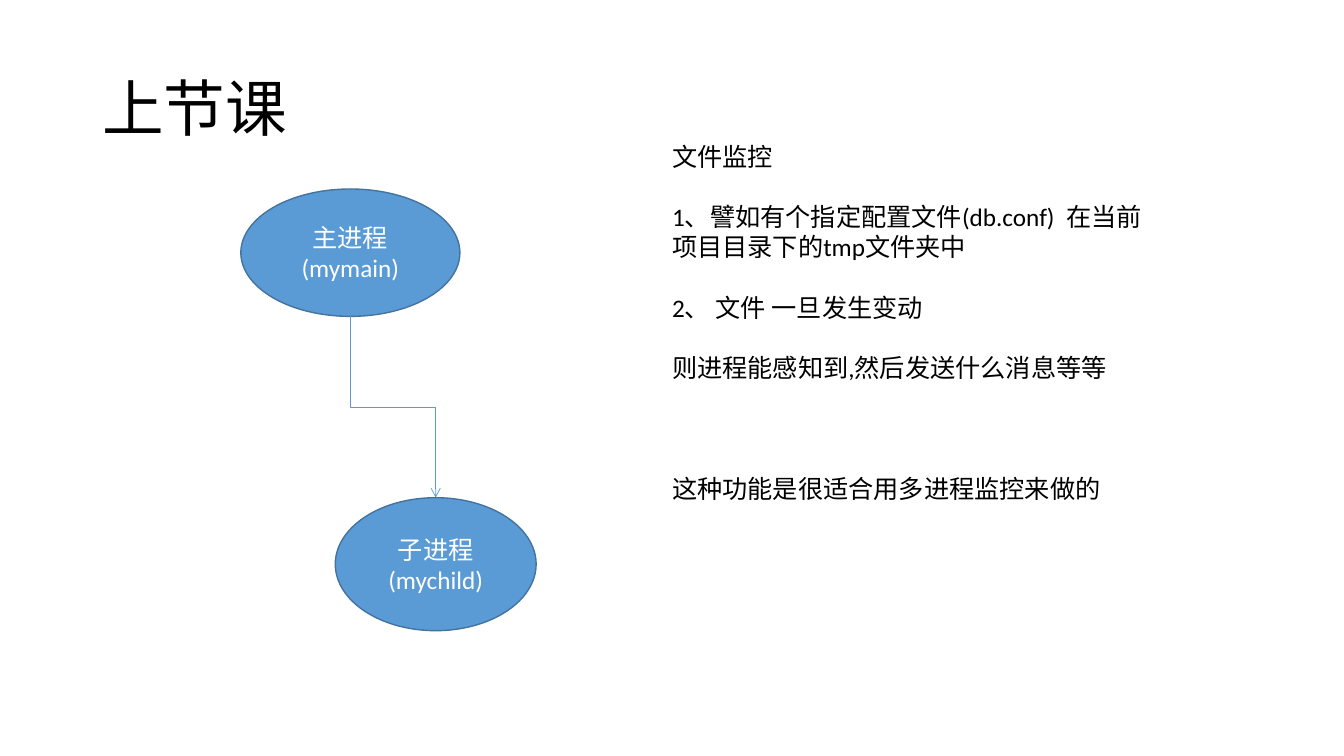
import pptx
import pptx.util
import pptx.dml.color
import pptx.enum.shapes
import pptx.enum.text
import pptx.oxml.ns
import lxml.etree

Pt = pptx.util.Pt
ALIGN = pptx.enum.text.PP_ALIGN
ANCHOR = pptx.enum.text.MSO_ANCHOR
SHAPES = pptx.enum.shapes.MSO_SHAPE
ELBOW = pptx.enum.shapes.MSO_CONNECTOR.ELBOW
qn = pptx.oxml.ns.qn

BLUE, EDGE, BLACK, WHITE = "5B9BD5", "43739E", "000000", "FFFFFF"
LINE = 21.6  # height of one line of body text

# Each note with the number of lines left free above it
NOTES = [
    ("文件监控", 0),
    ("1、譬如有个指定配置文件(db.conf)  在当前项目目录下的tmp文件夹中", 1),
    ("2、 文件 一旦发生变动", 1),
    ("则进程能感知到,然后发送什么消息等等", 1),
    ("这种功能是很适合用多进程监控来做的", 3),
]


def color(value):
    return pptx.dml.color.RGBColor.from_string(value)


def write(para, text, size=18, fill=BLACK, align=ALIGN.LEFT, before=0, spacing=1.0):
    para.alignment = align
    para.space_before = Pt(before)
    para.line_spacing = spacing
    span = para.add_run()
    span.text = text
    span.font.name = "Calibri"
    span.font.size = Pt(size)
    span.font.color.rgb = color(fill)


def write_lines(frame, lines, **style):
    for index, (text, gap) in enumerate(lines):
        para = frame.add_paragraph() if index else frame.paragraphs[0]
        write(para, text, before=gap * LINE, **style)


def add_text(page, left, top, width, height, lines, anchor=ANCHOR.TOP, **style):
    box = page.shapes.add_textbox(Pt(left), Pt(top), Pt(width), Pt(height))
    box.text_frame.word_wrap = True
    box.text_frame.vertical_anchor = anchor
    write_lines(box.text_frame, lines, **style)


def add_process(page, left, top, width, height, title, name):
    oval = page.shapes.add_shape(SHAPES.OVAL, Pt(left), Pt(top), Pt(width), Pt(height))
    oval.shadow.inherit = False
    oval.fill.solid()
    oval.fill.fore_color.rgb = color(BLUE)
    oval.line.color.rgb = color(EDGE)
    oval.line.width = Pt(1)
    oval.text_frame.word_wrap = True
    oval.text_frame.vertical_anchor = ANCHOR.MIDDLE
    write_lines(oval.text_frame, [(title, 0), (name, 0)], fill=WHITE, align=ALIGN.CENTER)


def add_down_arrow(page, x1, y1, x2, y2):
    """Elbow that leaves downwards: laid out sideways, then turned by 270 degrees."""
    mid_x, mid_y = (x1 + x2) / 2, (y1 + y2) / 2
    half_run, half_rise = (y2 - y1) / 2, (x2 - x1) / 2
    arrow = page.shapes.add_connector(
        ELBOW, Pt(mid_x + half_run), Pt(mid_y - half_rise),
        Pt(mid_x - half_run), Pt(mid_y + half_rise))
    arrow.line.color.rgb = color(BLUE)
    arrow.line.width = Pt(0.5)
    properties = arrow._element.spPr
    properties.find(qn("a:xfrm")).set("rot", str(270 * 60000))
    lxml.etree.SubElement(properties.find(qn("a:ln")), qn("a:tailEnd"), type="arrow")
    lxml.etree.SubElement(properties, qn("a:effectLst"))


def add_process_diagram(page, left, top):
    main_width, main_height = 156.5, 91
    child_left, child_top, child_width = left + 67.5, top + 220.5, 143.5
    add_process(page, left, top, main_width, main_height, "主进程", "(mymain)")
    add_down_arrow(page, left + main_width / 2, top + main_height,
                   child_left + child_width / 2, child_top)
    add_process(page, child_left, child_top, child_width, 95, "子进程", "(mychild)")


def main():
    deck = pptx.Presentation()
    deck.slide_width, deck.slide_height = Pt(960), Pt(540)
    page = deck.slides.add_slide(deck.slide_layouts[6])
    # Title
    add_text(page, 66, 27.5, 828, 104.5, [("上节课", 0)], anchor=ANCHOR.MIDDLE,
             size=44, align=ALIGN.JUSTIFY, spacing=0.9)
    # Parent and child process
    add_process_diagram(page, 172, 135)
    # Notes on file monitoring
    add_text(page, 473, 97.2, 357, 269, NOTES)
    deck.save("out.pptx")


if __name__ == "__main__":
    main()
